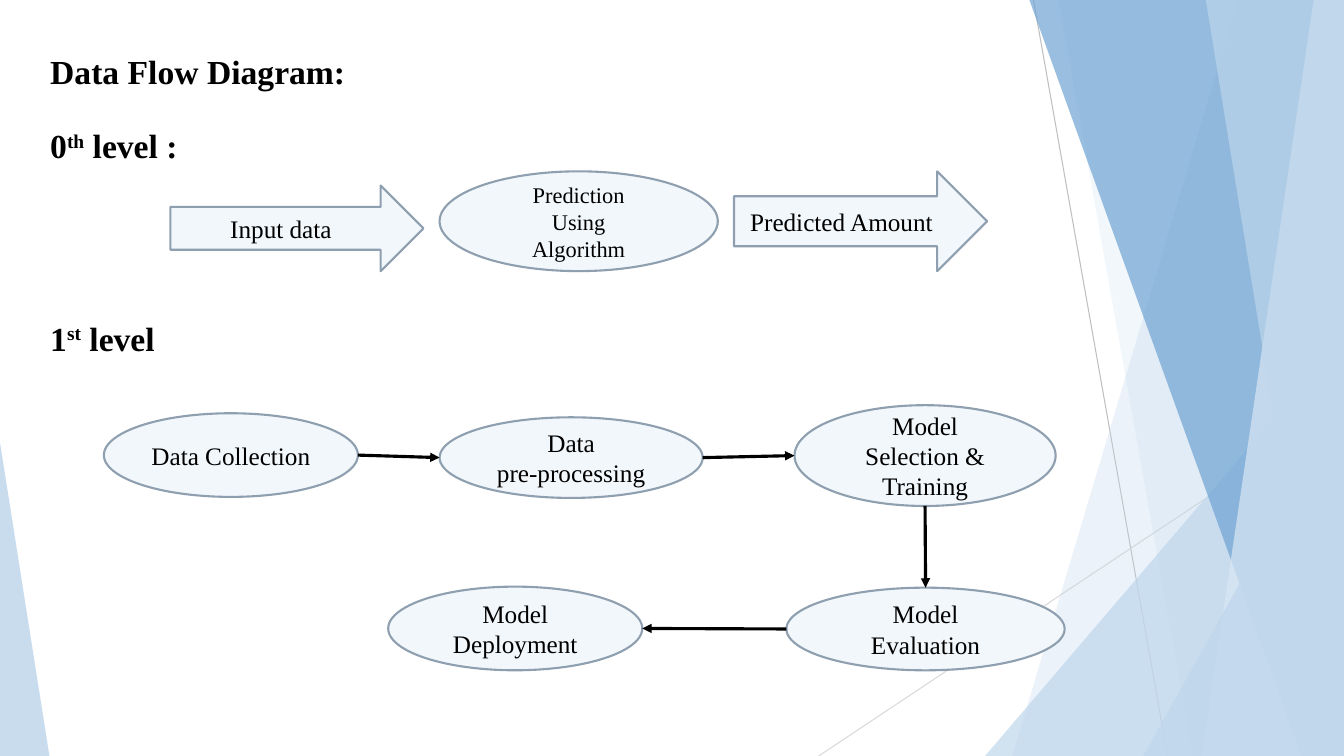
from pptx import Presentation
from pptx.dml.color import RGBColor
from pptx.enum.shapes import MSO_CONNECTOR, MSO_SHAPE
from pptx.enum.text import MSO_ANCHOR, MSO_AUTO_SIZE, PP_ALIGN
from pptx.oxml.ns import qn
from pptx.util import Inches, Pt
from lxml import etree

STRAIGHT = MSO_CONNECTOR.STRAIGHT
ELLIPSE, ARROW, TRIANGLE = MSO_SHAPE.OVAL, MSO_SHAPE.RIGHT_ARROW, MSO_SHAPE.ISOSCELES_TRIANGLE
LEFT, CENTER = PP_ALIGN.LEFT, PP_ALIGN.CENTER
MIDDLE, FIT, NO_FIT = MSO_ANCHOR.MIDDLE, MSO_AUTO_SIZE.SHAPE_TO_FIT_TEXT, MSO_AUTO_SIZE.NONE

# Square grid: 40 columns by 22.5 rows
COLS, ROWS = 40, 22.5
SLIDE_W, SLIDE_H = Inches(13.33), Inches(7.5)
UNIT = SLIDE_H / ROWS
FONT = "Times New Roman"
PALE, MID, LIGHT = "C0D7EC", "6EA3D3", "D9E7F4"
NODE_FILL, NODE_LINE, BLACK = "F2F7FB", "8E9FAF", "000000"


def grid(*units):
    return [round(u * UNIT) for u in units]


def color(hex_code):
    return RGBColor.from_string(hex_code)


def style_runs(paragraph, size, bold=False):
    for run in paragraph.runs:
        run.font.name, run.font.size, run.font.bold = FONT, Pt(size), bold
        run.font.color.rgb = color(BLACK)


def paint_glass(facet, hex_code, opacity):
    """Fill a facet with a see-through colour and no outline."""
    facet.shadow.inherit = False
    facet.line.fill.background()
    facet.fill.solid()
    facet.fill.fore_color.rgb = color(hex_code)
    tint = facet.fill._xPr.find(qn("a:solidFill"))[0]
    etree.SubElement(tint, qn("a:alpha")).set("val", str(opacity * 1000))


def add_band(slide, top_x, bottom_x, hex_code, opacity):
    """Full-height facet between a slanted edge and the right side."""
    corners = [(top_x, 0), (COLS, 0), (COLS, ROWS), (bottom_x, ROWS)]
    points = [grid(*corner) for corner in corners]
    builder = slide.shapes.build_freeform(*points[0])
    builder.add_line_segments(points[1:], close=True)
    paint_glass(builder.convert_to_shape(), hex_code, opacity)


def add_corner(slide, left, width, height, apex, opacity):
    """Right-angled triangle standing on the bottom edge."""
    corner = slide.shapes.add_shape(TRIANGLE, *grid(left, ROWS - height, width, height))
    corner.adjustments[0] = apex
    paint_glass(corner, PALE, opacity)


def add_line(slide, start, end, hex_code, width, arrow=False):
    line = slide.shapes.add_connector(STRAIGHT, *grid(*start, *end))
    line.line.color.rgb, line.line.width = color(hex_code), Pt(width)
    if arrow:
        etree.SubElement(line.line._get_or_add_ln(), qn("a:tailEnd")).set("type", "triangle")
    etree.SubElement(line._element.spPr, qn("a:effectLst"))


def add_heading(slide, top, width, parts, wrap=True):
    """Bold heading; every second part is superscript."""
    heading = slide.shapes.add_textbox(*grid(1.2, top, width, 1.5))
    frame = heading.text_frame
    frame.word_wrap, frame.auto_size = wrap, FIT
    paragraph = frame.paragraphs[0]
    for i, part in enumerate(parts):
        run = paragraph.add_run()
        run.text = part
        if i % 2:
            run.font._element.set("baseline", "30000")
    style_runs(paragraph, 24, bold=True)


def add_node(slide, kind, box, text, size=18, align=CENTER, inset=0.3):
    node = slide.shapes.add_shape(kind, *grid(*box))
    node.shadow.inherit = False
    node.fill.solid()
    node.fill.fore_color.rgb = color(NODE_FILL)
    node.line.color.rgb, node.line.width = color(NODE_LINE), Pt(1.5)
    frame = node.text_frame
    frame.text = text
    frame.vertical_anchor, frame.auto_size = MIDDLE, NO_FIT
    frame.margin_left = grid(inset)[0]
    for paragraph in frame.paragraphs:
        paragraph.alignment = align
        style_runs(paragraph, size)


def side(box, across, down):
    """Point of a box given as shares of its width and height."""
    left, top, width, height = box
    return left + across * width, top + down * height


def draw_backdrop(slide):
    add_line(slide, (30.75, 0), (34.74, ROWS), "BFBFBF", 0.75)
    add_line(slide, (COLS, 12.09), (24.36, ROWS), "D9D9D9", 0.75)
    add_band(slide, 36.84, 30.12, PALE, 30)
    add_band(slide, 31.5, 35.49, PALE, 20)
    add_corner(slide, 29.31, 10.69, 12.51, 1, 72)
    add_band(slide, 30.63, 38.73, MID, 70)
    add_band(slide, 39.09, 35.76, LIGHT, 70)
    add_band(slide, 35.88, 39.54, PALE, 65)
    add_corner(slide, 34.02, 5.98, 10.71, 1, 80)
    add_corner(slide, 0, 1.47, 9.33, 0, 85)


def draw_level_0(slide):
    add_node(slide, ARROW, (5.07, 5.52, 7.53, 2.55), "Input data", align=LEFT, inset=1.78)
    add_node(slide, ARROW, (21.84, 5.1, 7.53, 2.97), "Predicted Amount", align=LEFT, inset=0.48)
    add_node(slide, ELLIPSE, (13.08, 5.1, 8.28, 2.97), "Prediction\nUsing\nAlgorithm", size=16)


def draw_level_1(slide):
    collection = (3.09, 12.3, 7.56, 2.49)
    processing = (13.08, 12.42, 7.83, 2.4)
    training = (23.64, 12.06, 7.77, 3)
    evaluation = (23.4, 17.49, 8.28, 2.46)
    deployment = (11.55, 17.46, 7.56, 2.49)
    steps = [
        (collection, "Data Collection"),
        (processing, "Data\npre-processing"),
        (training, "Model Selection & Training"),
        (evaluation, "Model Evaluation"),
        (deployment, "Model Deployment"),
    ]
    for box, text in steps:
        add_node(slide, ELLIPSE, box, text)

    # Flow from step to step
    left, right, top, bottom = (0, 0.5), (1, 0.5), (0.5, 0), (0.5, 1)
    flows = [
        (collection, right, processing, left),
        (processing, right, training, left),
        (training, bottom, evaluation, top),
        (evaluation, left, deployment, right),
    ]
    for source, exit_side, target, entry_side in flows:
        add_line(slide, side(source, *exit_side), side(target, *entry_side), BLACK, 2.25, arrow=True)


def main():
    deck = Presentation()
    deck.slide_width, deck.slide_height = SLIDE_W, SLIDE_H
    slide = deck.slides.add_slide(deck.slide_layouts[6])
    draw_backdrop(slide)
    add_heading(slide, 1.38, 13.32, ["Data Flow Diagram:"])
    add_heading(slide, 3.57, 9.9, ["0", "th", " level :"])
    add_heading(slide, 9.3, 3.78, ["1", "st", " level"], wrap=False)
    draw_level_0(slide)
    draw_level_1(slide)
    deck.save("out.pptx")


if __name__ == "__main__":
    main()
